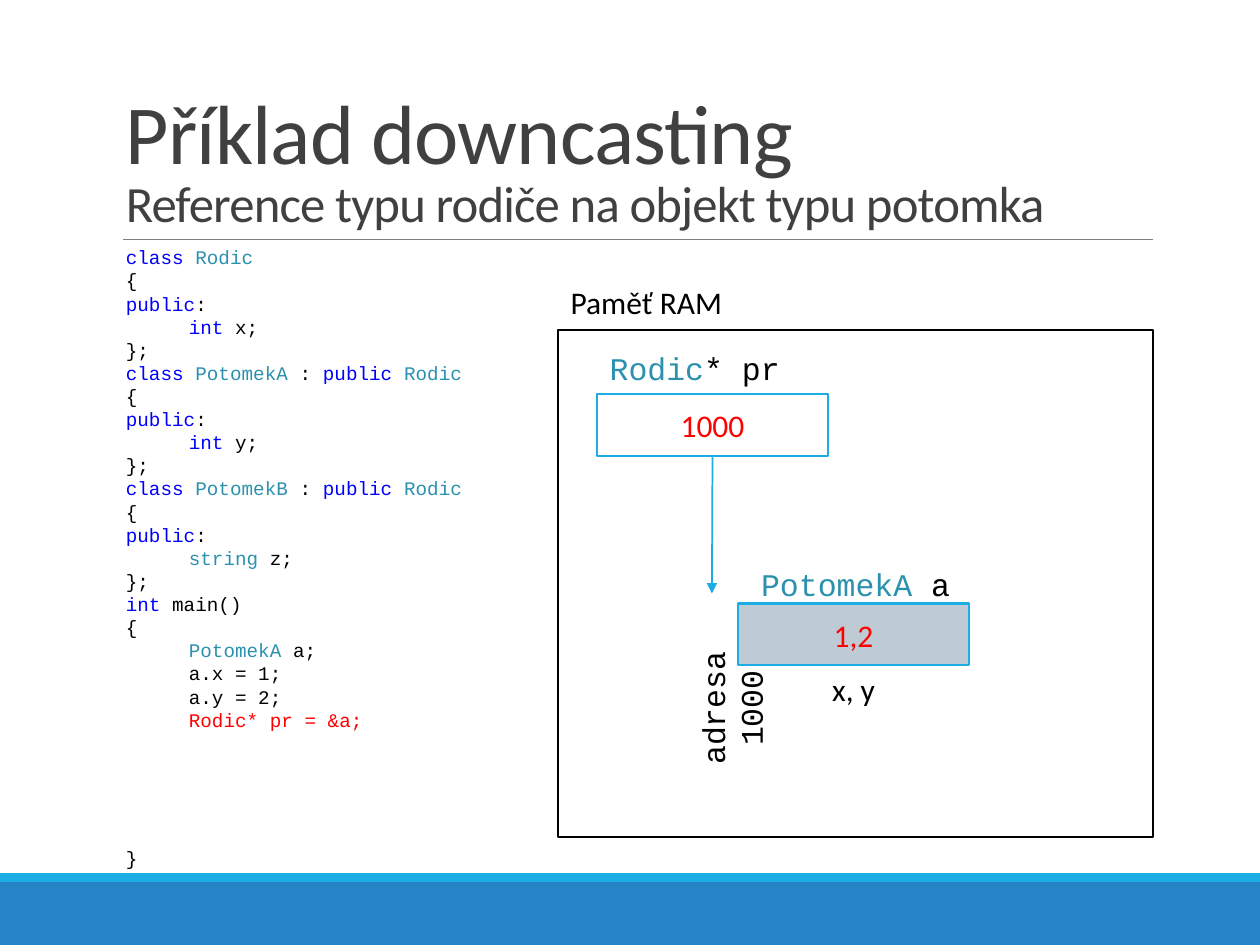
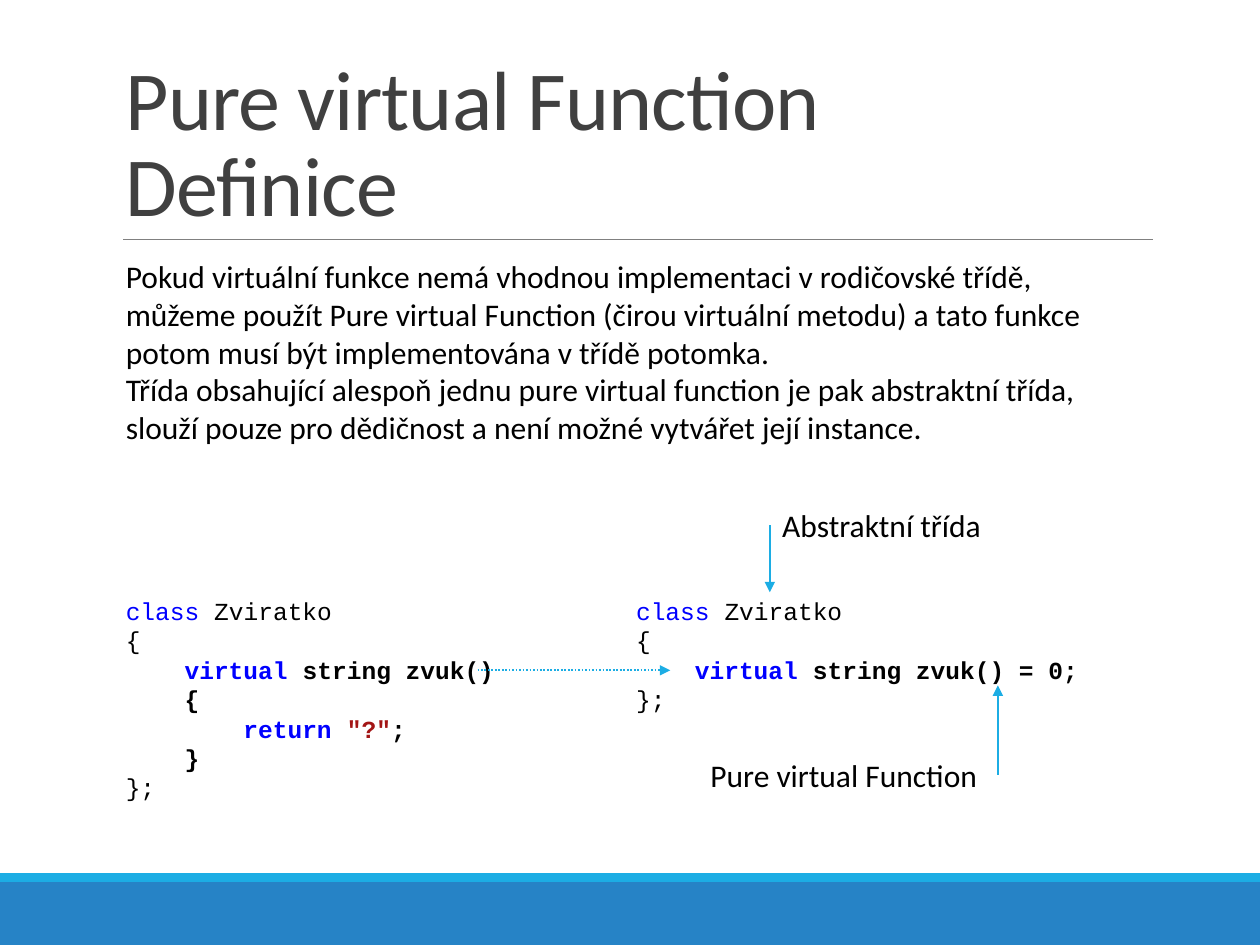
from dataclasses import dataclass

from pptx import Presentation
from pptx.dml.color import RGBColor
from pptx.enum.dml import MSO_LINE_DASH_STYLE as Dash
from pptx.enum.shapes import MSO_CONNECTOR as Connector, MSO_SHAPE as Shape
from pptx.enum.text import MSO_ANCHOR as Anchor, MSO_AUTO_SIZE as AutoSize, PP_ALIGN as Align
from pptx.oxml.ns import qn
from pptx.util import Inches, Pt

WIDTH, HEIGHT = Inches(10), Inches(7.5)
COLUMNS, ROWS = 100, 75

BLUE = RGBColor(0x26, 0x83, 0xC6)
CYAN = RGBColor(0x1C, 0xAD, 0xE4)
GRAY = RGBColor(0x80, 0x80, 0x80)
DARK = RGBColor(0x40, 0x40, 0x40)
STEEL = RGBColor(0xBE, 0xCA, 0xD4)
WHITE = RGBColor(0xFF, 0xFF, 0xFF)
BLACK = RGBColor(0x00, 0x00, 0x00)
RED = RGBColor(0xFF, 0x00, 0x00)
KEYWORD = RGBColor(0x00, 0x00, 0xFF)
TYPE = RGBColor(0x2B, 0x91, 0xAF)
STRING = RGBColor(0xA3, 0x15, 0x15)

SANS, MONO = "Calibri", "Courier New"
LEFT, RIGHT, RULE = 9, 91.5, 19
CELL_W, CELL_H = 18.3, 4.9


@dataclass
class Line:
    """One line of text: (words, colour) spans and how they are set."""
    spans: list
    indent: int = 0
    bold: bool = False
    gap: float = 0


def col(n):
    return round(WIDTH * n / COLUMNS)


def row(n):
    return round(HEIGHT * n / ROWS)


def area(left, top, width, height):
    return col(left), row(top), col(width), row(height)


def style(run, size, color, font=SANS, bold=False):
    run.font.size, run.font.name, run.font.bold = Pt(size), font, bold
    run.font.color.rgb = color


def write(frame, lines, size, font, align):
    for number, line in enumerate(lines):
        paragraph = frame.add_paragraph() if number else frame.paragraphs[0]
        paragraph.alignment = align
        if line.indent:
            properties = paragraph._p.get_or_add_pPr()
            properties.set("marL", str(col(5 * line.indent)))
            properties.set("indent", "0")
        if line.gap:
            paragraph.space_before = Pt(line.gap)
        for words, color in line.spans:
            run = paragraph.add_run()
            run.text = words
            style(run, size, color, font, line.bold)


def text(slide, place, lines, size=18, font=SANS, align=Align.LEFT):
    box = slide.shapes.add_textbox(*area(*place))
    box.text_frame.word_wrap = True
    box.text_frame.auto_size = AutoSize.SHAPE_TO_FIT_TEXT
    write(box.text_frame, lines, size, font, align)
    return box


def label(slide, place, words, **options):
    return text(slide, place, [Line([(words, BLACK)])], **options)


def rectangle(slide, place, fill, outline=None, spans=(), font=SANS):
    rect = slide.shapes.add_shape(Shape.RECTANGLE, *area(*place))
    rect.shadow.inherit = False
    rect.fill.solid()
    rect.fill.fore_color.rgb = fill
    if outline is None:
        rect.line.fill.background()
    else:
        rect.line.color.rgb, rect.line.width = outline, Pt(1.25)
    if spans:
        rect.text_frame.vertical_anchor = Anchor.MIDDLE
        write(rect.text_frame, [Line(spans)], 18, font, Align.CENTER)
    return rect


def rule(slide, start, end, color, width):
    line = slide.shapes.add_connector(
        Connector.STRAIGHT, col(start[0]), row(start[1]), col(end[0]), row(end[1]))
    line.line.color.rgb, line.line.width = color, Pt(width)
    properties = line._element.spPr
    properties.append(properties.makeelement(qn("a:effectLst"), {}))
    return line


def arrow(slide, start, end, source=None, side=0, dash=None):
    line = rule(slide, start, end, CYAN, 1)
    if dash is not None:
        line.line.dash_style = dash
    outline = line.line._get_or_add_ln()
    outline.append(outline.makeelement(qn("a:tailEnd"), {"type": "triangle"}))
    if source is not None:
        line.begin_connect(source, side)


def themed_slide(deck, heading, subheading, subheading_size):
    """Blank slide with the bottom bands, the title and the rule below it."""
    slide = deck.slides.add_slide(deck.slide_layouts[6])
    rectangle(slide, (0, 70, COLUMNS, 5), BLUE)
    rectangle(slide, (0, 69.3, COLUMNS, 0.7), CYAN)
    rule(slide, (9.8, RULE), (RIGHT, RULE), GRAY, 0.5)

    title = slide.shapes.add_textbox(*area(LEFT, 3.1, RIGHT - LEFT, RULE - 3.1))
    frame = title.text_frame
    frame.word_wrap, frame.vertical_anchor = True, Anchor.BOTTOM
    paragraph = frame.paragraphs[0]
    paragraph.text = f"{heading}\v{subheading}"
    paragraph.line_spacing = 0.85
    for run, size in zip(paragraph.runs, (48, subheading_size)):
        style(run, size, DARK)
        run.font._element.set("spc", "-50")
    return slide


def plain(words, **options):
    return Line([(words, BLACK)], **options)


def class_code(name, member, member_type, type_color=KEYWORD, parent=None):
    head = [("class ", KEYWORD), (name, TYPE)]
    if parent:
        head += [(" : ", BLACK), ("public ", KEYWORD), (parent, TYPE)]
    return [
        Line(head),
        plain("{"),
        Line([("public", KEYWORD), (":", BLACK)]),
        Line([(member_type, type_color), (f" {member};", BLACK)], indent=1),
        plain("};"),
    ]


def animal_code(signature, body=()):
    return [
        Line([("class ", KEYWORD), ("Zviratko", BLACK)]),
        plain("{"),
        Line([("    virtual ", KEYWORD), (signature, BLACK)], bold=True),
        *body,
        plain("};"),
    ]


def downcasting_slide(deck):
    slide = themed_slide(deck, "Příklad downcasting",
                         "Reference typu rodiče na objekt typu potomka", 29)

    # Memory with the pointer and the object it refers to
    rectangle(slide, (44.3, 26.2, 47.2, 40.2), WHITE, BLACK,
              [("PotomekA", TYPE), (" a", BLACK)], MONO)
    label(slide, (44.3, 22, 18.6, 4), "Paměť RAM")
    pointer = rectangle(slide, (47.4, 31.3, CELL_W, CELL_H), WHITE, CYAN, [("1000", RED)])
    text(slide, (47.4, 27.2, CELL_W, 4),
         [Line([("Rodic", TYPE), ("* pr", BLACK)])], font=MONO)
    arrow(slide, (56.5, 36.2), (56.5, 47.1), pointer, 2)
    label(slide, (58.6, 52.7, CELL_W, 4), "x, y", align=Align.CENTER)
    address = label(slide, (47.5, 54.2, 18.1, 4), "adresa 1000", font=MONO, align=Align.CENTER)
    address.rotation = 270
    rectangle(slide, (58.6, 47.9, CELL_W, CELL_H), STEEL, CYAN, [("1,2", RED)])

    # Program listing
    listing = [
        *class_code("Rodic", "x", "int"),
        *class_code("PotomekA", "y", "int", parent="Rodic"),
        *class_code("PotomekB", "z", "string", TYPE, parent="Rodic"),
        Line([("int ", KEYWORD), ("main()", BLACK)]),
        plain("{"),
        Line([("PotomekA", TYPE), (" a;", BLACK)], indent=1),
        plain("a.x = 1;", indent=1),
        plain("a.y = 2;", indent=1),
        Line([("Rodic* pr = &a;", RED)], indent=1),
        plain("}", gap=66),
    ]
    text(slide, (LEFT, RULE, 34.9, 51), listing, 11, MONO)


def pure_virtual_slide(deck):
    slide = themed_slide(deck, "Pure virtual Function", "Definice", 48)

    # Definition
    text(slide, (LEFT, 19.9, RIGHT - LEFT, 16.2), [
        plain("Pokud virtuální funkce nemá vhodnou implementaci v rodičovské třídě, "
              "můžeme použít Pure virtual Function (čirou virtuální metodu) a tato funkce "
              "potom musí být implementována v třídě potomka."),
        plain("Třída obsahující alespoň jednu pure virtual function je pak abstraktní třída, "
              "slouží pouze pro dědičnost a není možné vytvářet její instance."),
    ])

    # Ordinary and abstract class side by side
    body = [
        plain("    {", bold=True),
        Line([("        return ", KEYWORD), ('"?"', STRING), (";", BLACK)], bold=True),
        plain("    }", bold=True),
    ]
    text(slide, (LEFT, 46.8, 35.3, 17.5), animal_code("string zvuk()", body), 14, MONO)
    text(slide, (49.5, 46.8, 42.6, 12.8), animal_code("string zvuk() = 0;"), 14, MONO)
    arrow(slide, (37.9, 53.2), (53.2, 53.2), dash=Dash.ROUND_DOT)

    # Callouts
    function_label = label(slide, (55.4, 59.5, 23.8, 4), "Pure virtual Function")
    arrow(slide, (79.2, 61.5), (79.2, 54.4), function_label, 3)
    class_label = label(slide, (61.1, 39.7, 18.1, 4), "Abstraktní třída")
    arrow(slide, (61.1, 41.7), (61.1, 47), class_label, 1)


def main():
    deck = Presentation()
    deck.slide_width, deck.slide_height = WIDTH, HEIGHT
    downcasting_slide(deck)
    pure_virtual_slide(deck)
    deck.save("out.pptx")


if __name__ == "__main__":
    main()
